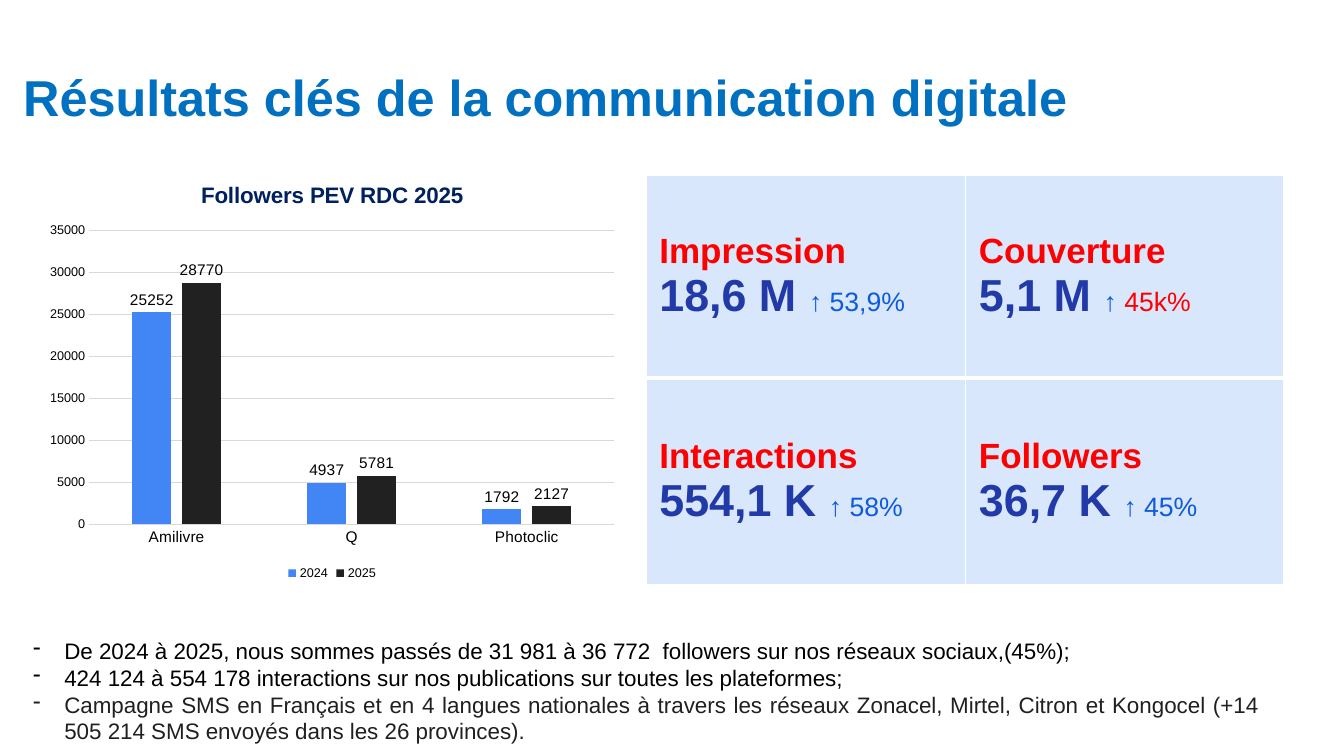
from lxml import etree
from pptx import Presentation
from pptx.chart.data import CategoryChartData
from pptx.dml.color import RGBColor
from pptx.enum.chart import XL_CHART_TYPE, XL_LABEL_POSITION, XL_LEGEND_POSITION, XL_TICK_MARK
from pptx.enum.shapes import MSO_SHAPE
from pptx.enum.text import MSO_ANCHOR, PP_ALIGN
from pptx.oxml.ns import qn
from pptx.util import Inches, Pt

COLUMN = XL_CHART_TYPE.COLUMN_CLUSTERED
OUTSIDE = XL_LABEL_POSITION.OUTSIDE_END
BOTTOM = XL_LEGEND_POSITION.BOTTOM
NO_TICK = XL_TICK_MARK.NONE
RECT = MSO_SHAPE.RECTANGLE
TOP, MIDDLE = MSO_ANCHOR.TOP, MSO_ANCHOR.MIDDLE
LEFT, JUSTIFY = PP_ALIGN.LEFT, PP_ALIGN.JUSTIFY

BLACK, WHITE, GREY = "000000", "FFFFFF", "D9D9D9"
RED, NAVY, BLUE = "FF0000", "223AA8", "0D5BDC"


def paint(fill, color):
    """Make a fill solid in a hex colour."""
    fill.solid()
    fill.fore_color.rgb = RGBColor.from_string(color)


def style(font, size, color, bold=False):
    form = {"name": "Arial", "size": Pt(size), "bold": bold}
    for key, value in form.items():
        setattr(font, key, value)
    paint(font.fill, color)


prs = Presentation()
prs.slide_width, prs.slide_height = Inches(13.33), Inches(7.5)
slide = prs.slides.add_slide(prs.slide_layouts[6])
shapes = slide.shapes

# Key figures
cards = [
    [("Impression", "18,6 M", "53,9%", BLUE), ("Couverture", "5,1 M", "45k%", RED)],
    [("Interactions", "554,1 K", "58%", BLUE), ("Followers", "36,7 K", "45%", BLUE)],
]
table = shapes.add_table(2, 2, Inches(6.41), Inches(1.74), Inches(6.32), Inches(4.06)).table
for col, width in zip(table.columns, (3.17, 3.15)):
    col.width = Inches(width)
for row, height in zip(table.rows, (2.01, 2.05)):
    row.height = Inches(height)

margins = {"margin_left": 0.13, "margin_right": 0.13, "margin_top": 0.07, "margin_bottom": 0.07}
for r, row in enumerate(cards):
    for c, (label, total, rise, tint) in enumerate(row):
        cell = table.cell(r, c)
        cell.vertical_anchor = MIDDLE
        for key, value in margins.items():
            setattr(cell, key, Inches(value))
        props = cell._tc.get_or_add_tcPr()
        for side in "LRTB":
            heavy = (r, side) in ((0, "B"), (1, "T"))
            line = etree.SubElement(props, qn("a:ln" + side), w=str(Pt(3 if heavy else 1)))
            solid = etree.SubElement(line, qn("a:solidFill"))
            etree.SubElement(solid, qn("a:srgbClr"), val=WHITE)
        paint(cell.fill, "D9E7FD")
        para = cell.text_frame.paragraphs[0]
        runs = [(label, 25, RED, True), (total + " ", 32, NAVY, True),
                ("↑ ", 19, BLUE, False), (rise, 19, tint, False)]
        for i, (text, size, color, bold) in enumerate(runs):
            if i == 1:
                para.add_line_break()
            run = para.add_run()
            run.text = text
            style(run.font, size, color, bold)

# Title
title = shapes.add_shape(RECT, Inches(0.23), Inches(0.41), Inches(13.1), Inches(0.85))
title.shadow.inherit = False
paint(title.fill, WHITE)
title.line.fill.background()
frame = title.text_frame
frame.word_wrap = True
frame.vertical_anchor = TOP
for key in margins:
    setattr(frame, key, 0)
para = frame.paragraphs[0]
para.text = "Résultats clés de la communication digitale"
para.alignment = LEFT
para.line_spacing = 1.41
style(para.font, 36, "0070C0", True)

# Findings
notes = [
    ("De 2024 à 2025, nous sommes passés de 31 981 à 36 772  followers sur nos réseaux sociaux,(45%);", BLACK),
    ("424 124 à 554 178 interactions sur nos publications sur toutes les plateformes;", BLACK),
    ("Campagne SMS en Français et en 4 langues nationales à travers les réseaux Zonacel, Mirtel, "
     "Citron et Kongocel (+14 505 214 SMS envoyés dans les 26 provinces).", "202020"),
]
frame = shapes.add_textbox(Inches(0.23), Inches(6.27), Inches(12.36), Inches(1.18)).text_frame
frame.word_wrap = True
for i, (text, color) in enumerate(notes):
    para = frame.add_paragraph() if i else frame.paragraphs[0]
    para.text = text
    para.alignment = JUSTIFY
    props = para._p.get_or_add_pPr()
    props.set("marL", str(Inches(0.31)))
    props.set("indent", str(-Inches(0.31)))
    etree.SubElement(props, qn("a:buChar"), char="-")
    style(para.font, 16, color)

# Followers chart
data = CategoryChartData()
data.categories = ["Amilivre", "Q", "Photoclic"]
data.add_series("2024", (25252, 4937, 1792))
data.add_series("2025", (28770, 5781, 2127))
chart = shapes.add_chart(COLUMN, Inches(0.38), Inches(1.62), Inches(5.83), Inches(4.18), data).chart
style(chart.font, 10, BLACK)
chart.has_title = True
para = chart.chart_title.text_frame.paragraphs[0]
run = para.add_run()
run.text = "Followers PEV RDC 2025"
style(run.font, 16, "002060", True)
chart.has_legend = True
chart.legend.position = BOTTOM
chart.legend.include_in_layout = False
style(chart.legend.font, 9, BLACK)

for axis, size in ((chart.category_axis, 11), (chart.value_axis, 9)):
    axis.major_tick_mark = axis.minor_tick_mark = NO_TICK
    style(axis.tick_labels.font, size, BLACK)
grid = chart.value_axis.major_gridlines.format.line
for line in (chart.category_axis.format.line, grid):
    paint(line.fill, GREY)
    line.width = Pt(0.75)
scale = {"minimum_scale": 0, "maximum_scale": 35000, "major_unit": 5000}
for key, value in scale.items():
    setattr(chart.value_axis, key, value)
chart.value_axis.format.line.fill.background()

plot = chart.plots[0]
plot.vary_by_categories = False
plot.gap_width, plot.overlap = 219, -27
for series, color in zip(plot.series, ("4285F4", "212121")):
    paint(series.format.fill, color)
    labels = series.data_labels
    labels.show_value = True
    labels.position = OUTSIDE
    style(labels.font, 11, BLACK)

prs.save("out.pptx")
